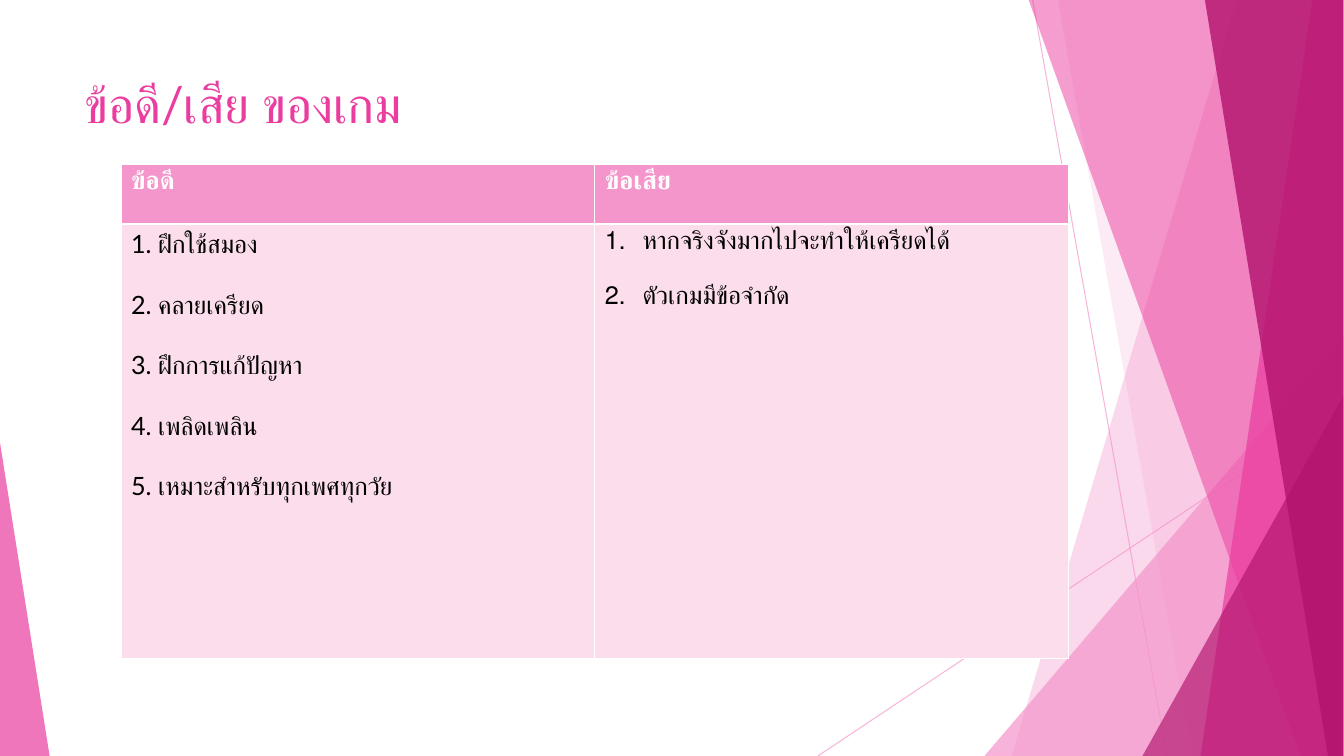
import pptx
import pptx.util
import pptx.dml.color
import pptx.enum.shapes
import pptx.enum.text
import pptx.oxml
from lxml import etree

Pt = pptx.util.Pt
NAMESPACE = 'xmlns:a="http://schemas.openxmlformats.org/drawingml/2006/main"'
COLORS = {"light": "F496CB", "pink": "EB3D9F", "dark": "B2136D",
          "body": "FBDDEC", "white": "FFFFFF", "black": "000000"}
RIGHT, BOTTOM = 960, 540


def paint(target, color, alpha):
    """Give a fill a solid colour with an opacity in percent."""
    target.solid()
    target.fore_color.rgb = pptx.dml.color.RGBColor.from_string(COLORS[color])
    choice = target._xPr.find(".//{*}srgbClr")
    etree.SubElement(choice, choice.tag.replace("srgbClr", "alpha"), val=str(alpha * 1000))


def write(paragraph, text, color, **formats):
    paragraph.text = text
    formats = {"name": "Lato", "size": Pt(18), "bold": False, **formats}
    for run in paragraph.runs:
        for name, value in formats.items():
            setattr(run.font, name, value)
        run.font.color.rgb = pptx.dml.color.RGBColor.from_string(COLORS[color])


presentation = pptx.Presentation()
presentation.slide_width, presentation.slide_height = Pt(960.5), Pt(BOTTOM)
slide = presentation.slides.add_slide(presentation.slide_layouts[6])
shapes = slide.shapes

# Thin rays: start x, start y, end x
for start_x, start_y, end_x in [(738, 0, 834), (RIGHT, 290, 584.5)]:
    ray = shapes.add_connector(pptx.enum.shapes.MSO_CONNECTOR.STRAIGHT,
                               Pt(start_x), Pt(start_y), Pt(end_x), Pt(BOTTOM))
    ray.line.width = Pt(0.75)
    paint(ray.line.fill, "light", 70)
    ray._element.spPr.append(pptx.oxml.parse_xml(f"<a:effectLst {NAMESPACE}/>"))

# Bands (top x, bottom x) reach the right edge; triangles (left, top, width, apex) the bottom
facets = [
    ("band", (884, 723), "light", 36),
    ("band", (756, 852), "light", 20),
    ("triangle", (703.5, 240, 256.5, 1), "light", 72),
    ("band", (735, 929.5), "pink", 50),
    ("band", (938, 858), "pink", 70),
    ("band", (861, 949), "dark", 80),
    ("triangle", (816.5, 283, 143.5, 1), "dark", 66),
    ("triangle", (0, 316, 35.5, 0), "pink", 70),
]
for kind, geometry, color, alpha in facets:
    if kind == "band":
        top_x, bottom_x = geometry
        builder = shapes.build_freeform(Pt(top_x), Pt(-0.5))
        builder.add_line_segments([(Pt(x), Pt(y)) for x, y in [
            (RIGHT, -0.5), (RIGHT, BOTTOM), (bottom_x, BOTTOM)]])
        facet = builder.convert_to_shape()
    else:
        left, top, width, apex = geometry
        facet = shapes.add_shape(pptx.enum.shapes.MSO_SHAPE.ISOSCELES_TRIANGLE,
                                 Pt(left), Pt(top), Pt(width), Pt(BOTTOM - top))
        facet.adjustments[0] = apex
    facet.shadow.inherit = False
    facet.line.fill.background()
    paint(facet.fill, color, alpha)

title = shapes.add_textbox(Pt(53.5), Pt(48.5), Pt(677), Pt(103.5))
title.text_frame.word_wrap = True
title.text_frame.vertical_anchor = pptx.enum.text.MSO_ANCHOR.TOP
write(title.text_frame.paragraphs[0], "ข้อดี/เสีย ของเกม", "pink", size=Pt(36))

columns = [
    ("ข้อดี", False, ["1. ฝึกใช้สมอง", "2. คลายเครียด", "3. ฝึกการแก้ปัญหา",
                     "4. เพลิดเพลิน", "5. เหมาะสำหรับทุกเพศทุกวัย"]),
    ("ข้อเสีย", True, ["หากจริงจังมากไปจะทำให้เครียดได้", "ตัวเกมมีข้อจำกัด"]),
]
table = shapes.add_table(2, 2, Pt(86.5), Pt(117.5), Pt(677), Pt(353)).table
for row, height in zip(table.rows, (42.5, 310.5)):
    row.height = Pt(height)

for index, (heading, numbered, points) in enumerate(columns):
    table.columns[index].width = Pt(338.5)
    header, body = table.cell(0, index), table.cell(1, index)
    write(header.text_frame.paragraphs[0], heading, "white", bold=True)
    for number, point in enumerate(points):
        frame = body.text_frame
        paragraph = frame.add_paragraph() if number else frame.paragraphs[0]
        properties = paragraph._p.get_or_add_pPr()
        properties.set("marL", str(Pt(27)))
        properties.set("indent", str(-Pt(27)))
        if number:
            paragraph.space_before = Pt(21.6)
        if numbered:
            for bullet in (f'<a:buClr {NAMESPACE}><a:srgbClr val="{COLORS["black"]}"/></a:buClr>',
                           f'<a:buFont {NAMESPACE} typeface="Arial"/>',
                           f'<a:buAutoNum {NAMESPACE} type="arabicPeriod"/>'):
                properties.append(pptx.oxml.parse_xml(bullet))
        write(paragraph, point, "black")

    for cell, fill, thick_side in [(header, "light", "lnB"), (body, "body", "lnT")]:
        for side in ("lnL", "lnR", "lnT", "lnB"):
            width = Pt(1.47 if side == thick_side else 0.45)
            cell._tc.get_or_add_tcPr().append(pptx.oxml.parse_xml(
                f'<a:{side} {NAMESPACE} w="{width}"><a:solidFill>'
                f'<a:srgbClr val="{COLORS["white"]}"/></a:solidFill></a:{side}>'))
        cell.fill.solid()
        cell.fill.fore_color.rgb = pptx.dml.color.RGBColor.from_string(COLORS[fill])

presentation.save("out.pptx")
